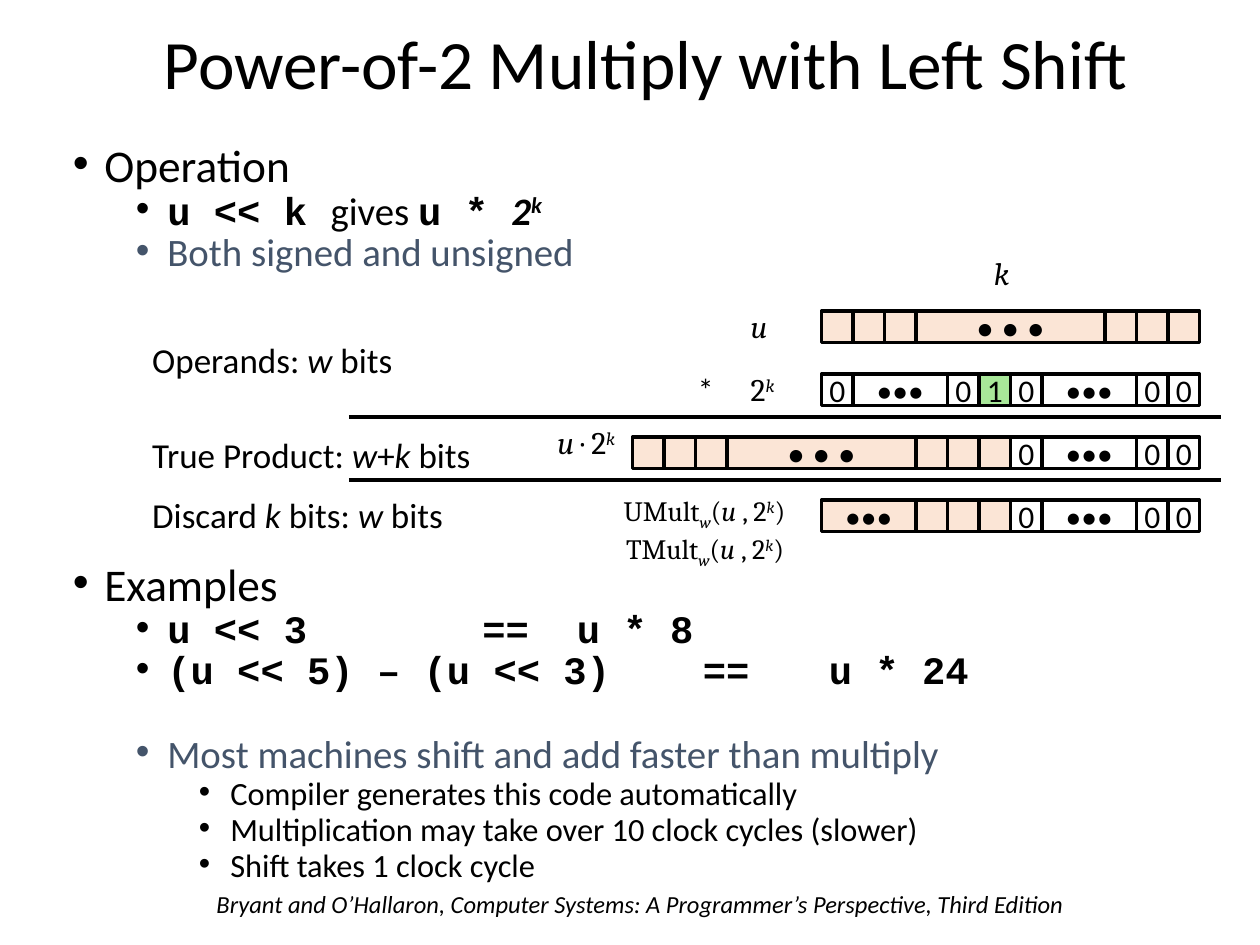
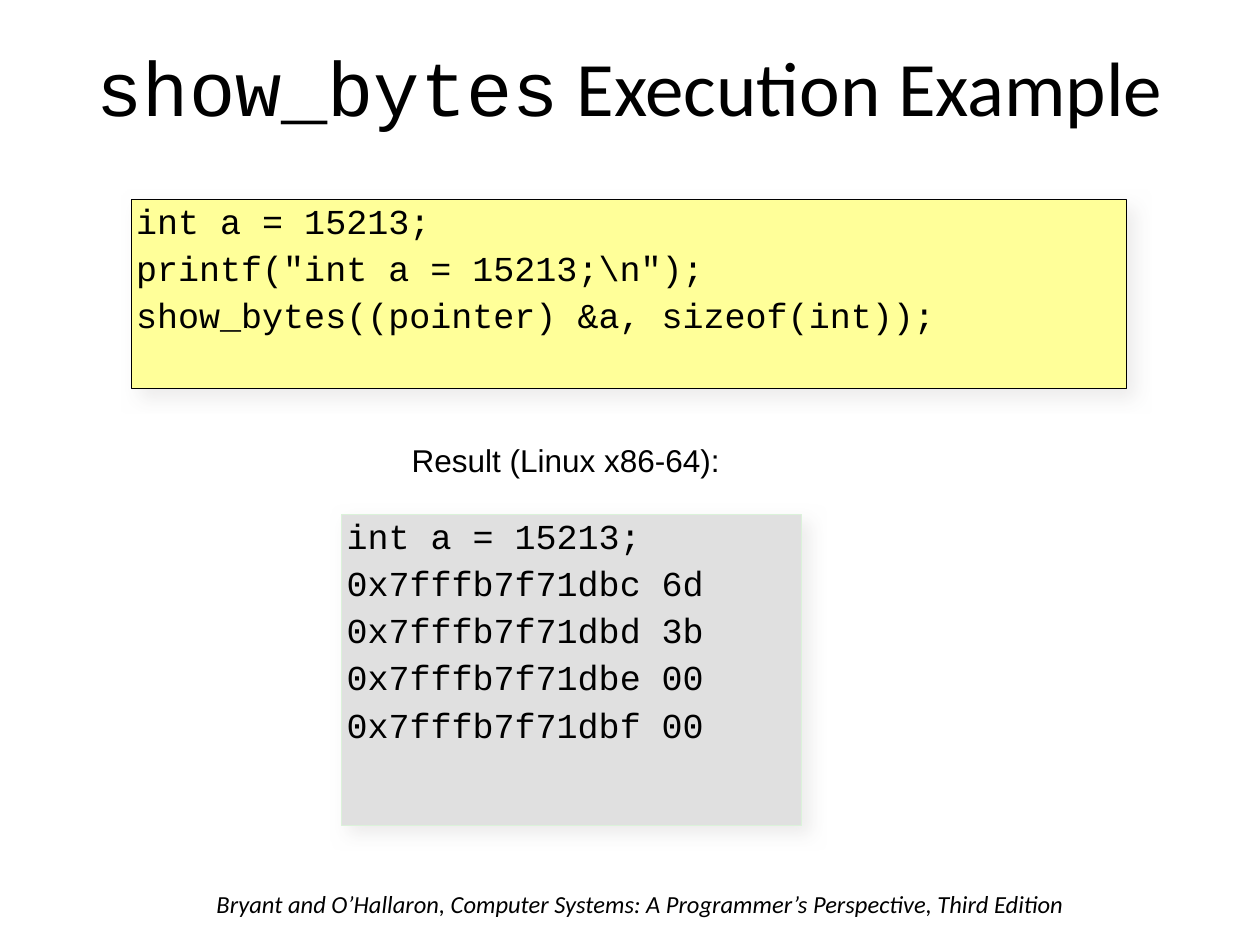
from lxml import etree
from pptx import Presentation
from pptx.dml.color import RGBColor
from pptx.enum.shapes import MSO_CONNECTOR, MSO_SHAPE
from pptx.enum.text import MSO_ANCHOR, MSO_AUTO_SIZE, PP_ALIGN
from pptx.oxml.ns import qn
from pptx.util import Inches, Pt

LEFT, CENTER, RIGHT = PP_ALIGN.LEFT, PP_ALIGN.CENTER, PP_ALIGN.RIGHT
TOP, MIDDLE = MSO_ANCHOR.TOP, MSO_ANCHOR.MIDDLE
FIT_SHAPE, NO_FIT = MSO_AUTO_SIZE.SHAPE_TO_FIT_TEXT, MSO_AUTO_SIZE.NONE
RECTANGLE, STRAIGHT = MSO_SHAPE.RECTANGLE, MSO_CONNECTOR.STRAIGHT

BLACK = RGBColor(0x00, 0x00, 0x00)
WHITE = RGBColor(0xFF, 0xFF, 0xFF)
SLATE = RGBColor(0x44, 0x54, 0x6A)
PEACH = RGBColor(0xFB, 0xE5, 0xD6)
GREEN = RGBColor(0xA8, 0xE7, 0x99)
YELLOW = RGBColor(0xFF, 0xFF, 0x99)
GRAY = RGBColor(0xE0, 0xE0, 0xE0)
PALE_GREEN = RGBColor(0xDB, 0xF2, 0xDA)
SHADOW = RGBColor(0xE7, 0xE6, 0xE6)

BODY, MATH, CODE, SANS = "Calibri", "Cambria", "Courier New", "Arial"
FOOTER = "Bryant and O’Hallaron, Computer Systems: A Programmer’s Perspective, Third Edition"

ITALIC = {"italic": True}
SUPER = {"italic": True, "baseline": 30}
SUB = {"italic": True, "baseline": -25}
BOLD_CODE = {"name": CODE, "bold": True}
SLATE_TEXT = {"color": SLATE}

# Bit cells: label, width in cells, fill
CELL = 0.25
ROW_RIGHT, FIRST_ROW_TOP, ROW_STEP = 9.52, 2.47, 0.5
BIT = ("", 1, PEACH)
ZERO = ("0", 1, WHITE)
ONE = ("1", 1, GREEN)
MANY_BITS = ("• • •", 6, PEACH)
SOME_BITS = ("•••", 3, PEACH)
SOME_ZEROS = ("•••", 3, WHITE)
ZERO_TAIL = [ZERO, SOME_ZEROS, ZERO, ZERO]
BIT_ROWS = [
    [BIT] * 3 + [MANY_BITS] + [BIT] * 3,
    [ZERO, SOME_ZEROS, ZERO, ONE] + ZERO_TAIL,
    [BIT] * 3 + [MANY_BITS] + [BIT] * 3 + ZERO_TAIL,
    [SOME_BITS] + [BIT] * 3 + ZERO_TAIL,
]

OUTLINE_SIZES = [25.9, 22.2, 18.5]
OUTLINE_TABS = [3.25, 4, 5, 6]
# Level, spans, space before
OUTLINE = [
    (0, [("Operation", {})], 0),
    (1, [("u << k ", BOLD_CODE), ("gives ", {}), ("u * ", BOLD_CODE),
         ("2", {"bold": True, "italic": True}), ("k", {"bold": True, **SUPER})], 5),
    (1, [("Both signed and unsigned", SLATE_TEXT)], 5),
    (0, [("Examples", {})], 170),
    (1, [("u << 3\t==\tu * 8", BOLD_CODE)], 5),
    (1, [("(u << 5) – (u << 3)\t==\tu * 24", BOLD_CODE)], 5),
    (1, [("Most machines shift and add faster than multiply", SLATE_TEXT)], 29),
    (2, [("Compiler generates this code automatically", {})], 5),
    (2, [("Multiplication may take over 10 clock cycles (slower)", {})], 5),
    (2, [("Shift takes 1 clock cycle", {})], 5),
]


class SlideBuilder:
    def __init__(self, deck):
        self.deck = deck
        self.page = None

    def new_page(self, title_spans, place, size):
        self.page = self.deck.slides.add_slide(self.deck.slide_layouts[5])
        title = self.page.shapes.title
        title.left, title.top, title.width, title.height = map(Inches, place)
        self.set_frame(title.text_frame, vertical_anchor=MIDDLE, word_wrap=True)
        self.add_spans(title.text_frame.paragraphs[0], title_spans, {"size": size},
                       alignment=CENTER, line_spacing=0.9)
        self.label([(FOOTER, ITALIC)], (1.62, 7.01, 7.1, 0.34), {"size": 14}, wrap=True)

    def set_frame(self, frame, **values):
        for key, value in {"auto_size": NO_FIT, **values}.items():
            setattr(frame, key, value)

    def add_spans(self, para, spans, base, **layout):
        """Fill a paragraph with (text, format) spans laid over a base format."""
        for key, value in layout.items():
            setattr(para, key, value)
        for text, changes in spans:
            values = {"name": BODY, "color": BLACK, **base, **changes}
            span = para.add_run()
            span.text = text
            span.font.color.rgb = values.pop("color")
            span.font.size = Pt(values.pop("size"))
            baseline = values.pop("baseline", 0)
            if baseline:
                span._r.get_or_add_rPr().set("baseline", str(baseline * 1000))
            for key, value in values.items():
                setattr(span.font, key, value)

    def indent(self, para, left, hanging=0, tabs=(), bullet=None):
        properties = para._p.get_or_add_pPr()
        properties.set("marL", str(Inches(left)))
        properties.set("indent", str(Inches(-hanging)))
        if bullet:
            etree.SubElement(properties, qn("a:buFont"), typeface=SANS)
            etree.SubElement(properties, qn("a:buChar"), char=bullet)
        if tabs:
            stops = etree.SubElement(properties, qn("a:tabLst"))
            for tab in tabs:
                etree.SubElement(stops, qn("a:tab"), pos=str(Inches(tab)), algn="l")

    def label(self, spans, place, base, alignment=LEFT, wrap=False):
        box = self.page.shapes.add_textbox(*map(Inches, place))
        self.set_frame(box.text_frame, word_wrap=wrap, auto_size=FIT_SHAPE)
        self.add_spans(box.text_frame.paragraphs[0], spans, base, alignment=alignment)
        return box

    def outline(self, items, place):
        box = self.page.shapes.add_textbox(*map(Inches, place))
        frame = box.text_frame
        self.set_frame(frame, word_wrap=True)
        for index, (level, spans, gap) in enumerate(items):
            para = frame.add_paragraph() if index else frame.paragraphs[0]
            self.indent(para, 0.25 + 0.5 * level, 0.25, OUTLINE_TABS, "•")
            self.add_spans(para, spans, {"size": OUTLINE_SIZES[level]}, level=level,
                           line_spacing=0.7, space_before=Pt(gap))

    def rectangle(self, place, fill, line, width):
        box = self.page.shapes.add_shape(RECTANGLE, *map(Inches, place))
        box.shadow.inherit = False
        box.fill.solid()
        box.fill.fore_color.rgb = fill
        box.line.color.rgb = line
        box.line.width = Pt(width)
        return box

    def bit_row(self, cells, top):
        """Draw a row of cells that ends at the shared right edge."""
        left = ROW_RIGHT - CELL * sum(count for _, count, _ in cells)
        for text, count, fill in cells:
            box = self.rectangle((left, top, CELL * count, CELL), fill, BLACK, 2)
            if text:
                self.set_frame(box.text_frame, word_wrap=False, vertical_anchor=MIDDLE)
                size = 20 if count == 6 else 18
                self.add_spans(box.text_frame.paragraphs[0], [(text, {})],
                               {"size": size}, alignment=CENTER)
            left += CELL * count

    def rule(self, left, right, top):
        line = self.page.shapes.add_connector(
            STRAIGHT, *map(Inches, (left, top, right, top)))
        line.line.color.rgb = BLACK
        line.line.width = Pt(2)
        etree.SubElement(line._element.spPr, qn("a:effectLst"))

    def drop_shadow(self, box):
        effects = box._element.spPr.find(qn("a:effectLst"))
        outer = etree.SubElement(effects, qn("a:outerShdw"), blurRad=str(Pt(10)),
                                 dist=str(Pt(6)), dir=str(45 * 60000))
        color = etree.SubElement(outer, qn("a:srgbClr"), val=str(SHADOW))
        etree.SubElement(color, qn("a:alpha"), val="75000")

    def code_box(self, lines, place, fill, line, tabs=()):
        box = self.rectangle(place, fill, line, 0.5)
        self.drop_shadow(box)
        frame = box.text_frame
        self.set_frame(frame, word_wrap=True, vertical_anchor=TOP, margin_left=0,
                       margin_top=0, margin_right=Inches(0.04), margin_bottom=0)
        for index, text in enumerate(lines):
            para = frame.add_paragraph() if index else frame.paragraphs[0]
            self.indent(para, 0.04, tabs=tabs)
            self.add_spans(para, [(text, {})], {"name": CODE, "size": 20},
                           alignment=LEFT, space_before=Pt(3 if index else 0))


def build_shift_page(builder):
    builder.new_page([("Power-of-2 Multiply with Left Shift", {})],
                     (1.08, 0.22, 8.09, 0.63), 39.6)
    builder.outline(OUTLINE, (0.48, 1.16, 8.64, 6.34))
    for index, cells in enumerate(BIT_ROWS):
        builder.bit_row(cells, FIRST_ROW_TOP + ROW_STEP * index)
    for top in (3.31, 3.81):
        builder.rule(2.77, 9.69, top)

    math_text = {"name": MATH, "size": 18}
    for spans, place in [
        ([("k", ITALIC)], (7.79, 1.97, 0.31, 0.4)),
        ([("u", ITALIC)], (5.86, 2.39, 0.33, 0.4)),
        ([("2", {}), ("k", SUPER)], (5.86, 2.89, 0.4, 0.4)),
        ([("*", {"name": BODY})], (5.44, 2.89, 0.35, 0.4)),
    ]:
        builder.label(spans, place, math_text)
    builder.label([("u ", ITALIC), ("· 2", {}), ("k", SUPER)],
                  (4.27, 3.31, 0.71, 0.4), math_text, RIGHT)
    for name, place in [("UMult", (4.82, 3.87, 1.51, 0.37)),
                        ("TMult", (4.83, 4.17, 1.49, 0.37))]:
        builder.label([(name, {}), ("w", SUB), ("(", {}), ("u", ITALIC),
                       (" , 2", {}), ("k", SUPER), (")", {})],
                      place, {"name": MATH, "size": 16}, RIGHT)

    for spans, place in [
        ([("Operands: ", {}), ("w", ITALIC), (" bits", {})], (1.11, 2.64, 2.13, 0.44)),
        ([("True Product: ", {}), ("w", ITALIC), ("+", {}), ("k", ITALIC),
          (" bits", {})], (1.11, 3.39, 2.81, 0.44)),
        ([("Discard ", {}), ("k", ITALIC), (" bits: ", {}), ("w", ITALIC),
          (" bits", {})], (1.11, 3.87, 2.67, 0.44)),
    ]:
        builder.label(spans, place, {"size": 20})


def build_bytes_page(builder):
    builder.new_page([("show_bytes", {"name": CODE}), (" Execution Example", {})],
                     (0, 0, 10, 1.45), 44)
    builder.code_box(["int a = 15213;",
                      'printf("int a = 15213;\\n");',
                      "show_bytes((pointer) &a, sizeof(int));"],
                     (1.04, 1.58, 7.9, 1.5), YELLOW, BLACK)
    result = builder.label([("Result (Linux x86-64):", {})], (2.74, 3.5, 3.54, 0.4),
                           {"name": SANS, "size": 18}, CENTER)
    builder.set_frame(result.text_frame, auto_size=FIT_SHAPE, margin_left=0,
                      margin_top=0, margin_right=Inches(0.04), margin_bottom=0)
    builder.code_box(["int a = 15213;",
                      "0x7fffb7f71dbc\t6d",
                      "0x7fffb7f71dbd\t3b",
                      "0x7fffb7f71dbe\t00",
                      "0x7fffb7f71dbf\t00"],
                     (2.71, 4.08, 3.65, 2.47), GRAY, PALE_GREEN, tabs=[2.54])


def main():
    deck = Presentation()
    deck.slide_width, deck.slide_height = Inches(10), Inches(7.5)
    builder = SlideBuilder(deck)
    build_shift_page(builder)
    build_bytes_page(builder)
    deck.save("out.pptx")


if __name__ == "__main__":
    main()
